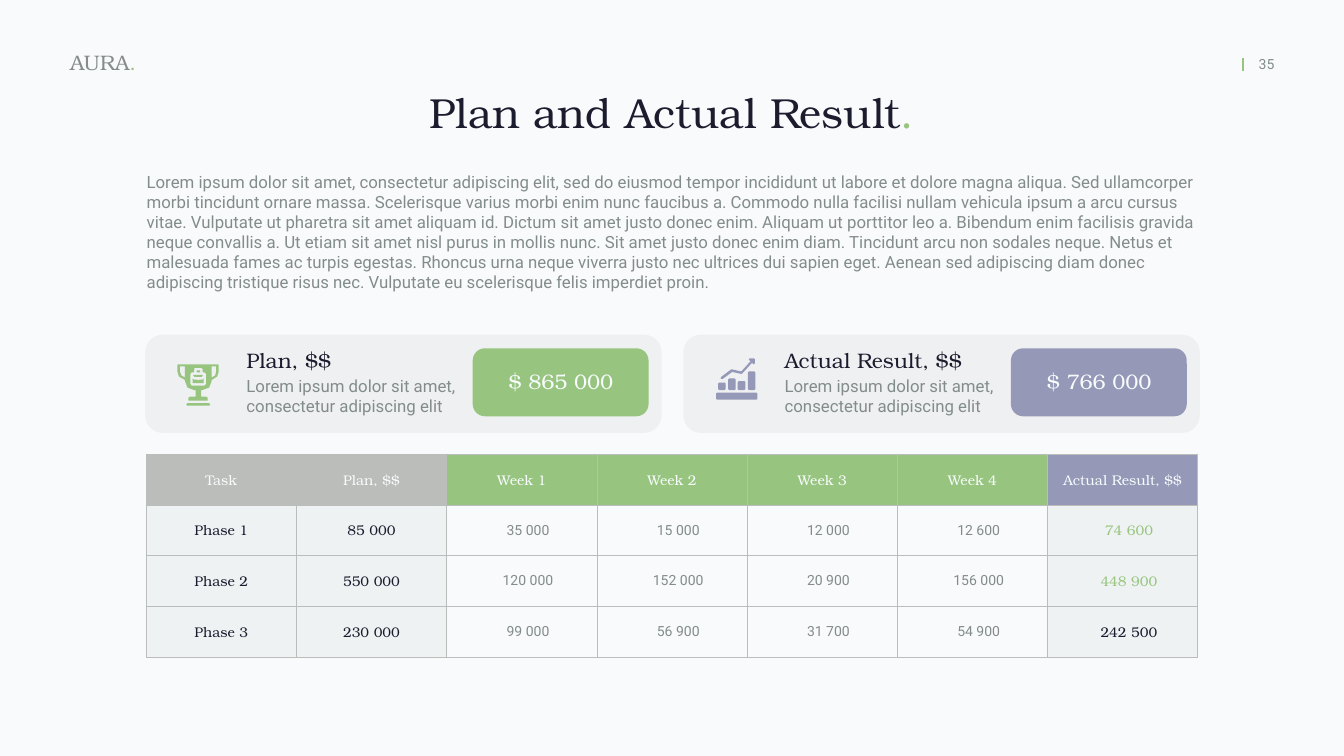
from lxml import etree
from pptx import Presentation, util as u
from pptx.dml.color import RGBColor
from pptx.enum import shapes, text
from pptx.oxml import ns

SERIF, SANS = "TeX Gyre Bonum", "Roboto"
INK, GREY, WHITE = "1B1C2E", "838C8C", "F8FBFC"
GREEN, VIOLET, SILVER = "97C57F", "9598B7", "BABDBA"
BORDER, PALE, PAPER = "BBBDBB", "EEF2F3", "F9FAFB"
LEFT, CENTER = text.PP_ALIGN.LEFT, text.PP_ALIGN.CENTER
NO_BREAK_SPACE = chr(160)

BODY = (
    "Lorem ipsum dolor sit amet, consectetur adipiscing elit, sed do eiusmod tempor "
    "incididunt ut labore et dolore magna aliqua. Sed ullamcorper morbi tincidunt ornare "
    "massa. Scelerisque varius morbi enim nunc faucibus a. Commodo nulla facilisi nullam "
    "vehicula ipsum a arcu cursus vitae. Vulputate ut pharetra sit amet aliquam id. Dictum "
    "sit amet justo donec enim. Aliquam ut porttitor leo a. Bibendum enim facilisis gravida "
    "neque convallis a. Ut etiam sit amet nisl purus in mollis nunc. Sit amet justo donec "
    "enim diam. Tincidunt arcu non sodales neque. Netus et malesuada fames ac turpis "
    "egestas. Rhoncus urna neque viverra justo nec ultrices dui sapien eget. Aenean sed "
    "adipiscing diam donec adipiscing tristique risus nec. Vulputate eu scelerisque felis "
    "imperdiet proin."
)
CARD_NOTE = "Lorem ipsum dolor sit amet, consectetur adipiscing elit"

HEADINGS = ["Task", "Plan, $$", "Week 1", "Week 2", "Week 3", "Week 4", "Actual Result, $$"]
HEADING_FILLS = [SILVER] * 2 + [GREEN] * 4 + [VIOLET]
PHASES = [
    ("Phase 1", [85000, 35000, 15000, 12000, 12600, 74600], GREEN),
    ("Phase 2", [550000, 120000, 152000, 20900, 156000, 448900], GREEN),
    ("Phase 3", [230000, 99000, 56900, 31700, 54900, 242500], INK),
]


def colour(value):
    return RGBColor.from_string(value)


def box(left, top, right, bottom):
    return [(left, top + 2), (left + 2, top), (right - 2, top), (right, top + 2),
            (right, bottom - 2), (right - 2, bottom), (left + 2, bottom), (left, bottom - 2)]


TROPHY = [
    box(18, 77, 65, 82),
    [(0, 2), (1, 0), (81, 0), (82, 2), (82, 14), (79, 24), (68, 31), (68, 33), (63, 46),
     (49, 51), (47, 51), (47, 64), (57, 64), (60, 66), (60, 72), (22, 72), (22, 66),
     (25, 64), (36, 64), (36, 51), (33, 51), (20, 46), (15, 33), (15, 31), (3, 24), (0, 14)],
    [(5, 4), (5, 14), (8, 22), (15, 26), (15, 4)],
    [(68, 4), (68, 26), (75, 22), (77, 14), (77, 4)],
    [(35, 7), (47, 7), (50, 9), (50, 16), (54, 16), (57, 19), (57, 39), (54, 42), (28, 42),
     (26, 39), (26, 19), (28, 16), (33, 16), (33, 9)],
    [(38, 12), (45, 12), (45, 16), (38, 16)],
    [(31, 21), (51, 21), (48, 25), (34, 25)],
    [(30, 28), (33, 30), (39, 30), (41, 32), (44, 30), (50, 30), (52, 28), (52, 37), (30, 37)],
]
GROWTH = [
    box(0, 68, 82, 82),
    *[box(left, top, left + 15, 63) for left, top in [(4, 48), (24, 40), (43, 45), (63, 26)]],
    [(67, 0), (75, 0), (77, 2), (77, 10), (75, 12), (72, 10), (72, 8), (52, 30), (50, 31),
     (32, 27), (13, 41), (11, 41), (9, 40), (10, 37), (30, 22), (32, 22), (50, 26), (69, 5),
     (67, 5), (65, 2)],
]


class SlideBuilder:
    def __init__(self, presentation):
        self.slide = presentation.slides.add_slide(presentation.slide_layouts[1])
        fill = self.slide.background.fill
        fill.solid()
        fill.fore_color.rgb = colour(PAPER)

    def add_runs(self, paragraph, runs, size, font=SERIF, align=LEFT):
        paragraph.alignment = align
        for words, ink in runs:
            run = paragraph.add_run()
            run.text = words
            for name, value in {"name": font, "size": u.Pt(size), "bold": False}.items():
                setattr(run.font, name, value)
            run.font.color.rgb = colour(ink)

    def fill_text(self, shape, at, runs, size, font=SERIF, align=LEFT,
                  anchor=text.MSO_ANCHOR.TOP, inset=0.06):
        for name, value in zip(("left", "top", "width", "height"), at):
            setattr(shape, name, u.Inches(value))
        frame = shape.text_frame
        margins = {f"margin_{side}": u.Inches(inset) for side in ("left", "right", "top", "bottom")}
        layout = {"word_wrap": True, "auto_size": text.MSO_AUTO_SIZE.NONE,
                  "vertical_anchor": anchor, **margins}
        for name, value in layout.items():
            setattr(frame, name, value)
        self.add_runs(frame.paragraphs[0], runs, size, font, align)

    def label(self, at, runs, size, font=SERIF, **options):
        shape = self.slide.shapes.add_textbox(0, 0, 0, 0)
        self.fill_text(shape, at, runs, size, font, **options)

    def title(self, at, runs):
        self.fill_text(self.slide.shapes.title, at, runs, 60, align=CENTER)

    def body(self, at, words):
        shape = self.slide.placeholders[1]
        paragraph = shape.text_frame.paragraphs[0]
        paragraph.space_before = u.Pt(0)
        properties = paragraph._p.get_or_add_pPr()
        properties.set("marL", "0")
        properties.set("indent", "0")
        etree.SubElement(properties, ns.qn("a:buNone"))
        self.fill_text(shape, at, [(words, GREY)], 24, SANS)

    def paint(self, shape, fill):
        shape.shadow.inherit = False
        shape.fill.solid()
        shape.fill.fore_color.rgb = colour(fill)
        shape.line.fill.background()

    def panel(self, at, fill, opacity=100):
        shape = self.slide.shapes.add_shape(
            shapes.MSO_SHAPE.ROUNDED_RECTANGLE, *map(u.Inches, at))
        shape.adjustments[0] = 0.18
        self.paint(shape, fill)
        if opacity < 100:
            tint = shape._element.spPr.find(".//" + ns.qn("a:srgbClr"))
            etree.SubElement(tint, ns.qn("a:alpha"), val=str(opacity * 1000))

    def icon(self, left, top, outlines, fill):
        builder = self.slide.shapes.build_freeform(*outlines[0][0], scale=u.Inches(0.01))
        for index, outline in enumerate(outlines):
            if index:
                builder.move_to(*outline[0])
            builder.add_line_segments(outline[1:], close=True)
        self.paint(builder.convert_to_shape(u.Inches(left), u.Inches(top)), fill)

    def line(self, start, end, ink, width):
        connector = self.slide.shapes.add_connector(
            shapes.MSO_CONNECTOR.STRAIGHT, *map(u.Inches, start + end))
        connector.line.color.rgb = colour(ink)
        connector.line.width = u.Pt(width)
        etree.SubElement(connector._element.spPr, ns.qn("a:effectLst"))

    def card(self, left, heading, heading_width, amount, fill, outlines, icon_at):
        self.panel((left, 6.64, 10.25, 1.95), BORDER, opacity=15)
        self.icon(left + icon_at[0], icon_at[1], outlines, fill)
        self.label((left + 1.95, 7.4, 4.98, 0.92), [(CARD_NOTE, GREY)], 24, SANS)
        self.label((left + 1.95, 6.84, heading_width, 0.62), [(heading, INK)], 30)
        self.panel((left + 6.5, 6.91, 3.49, 1.35), fill)
        self.label((left + 6.88, 7.26, 2.74, 0.62), [(amount, WHITE)], 30, align=CENTER)

    def cell(self, cell, words, fill, ink, font=SERIF, indent=0):
        properties = cell._tc.get_or_add_tcPr()
        for side in "LRTB":
            border = etree.SubElement(properties, ns.qn(f"a:ln{side}"), w=str(u.Pt(1)))
            solid = etree.SubElement(border, ns.qn("a:solidFill"))
            etree.SubElement(solid, ns.qn("a:srgbClr"), val=BORDER)
        cell.fill.solid()
        cell.fill.fore_color.rgb = colour(fill)
        cell.vertical_anchor = text.MSO_ANCHOR.MIDDLE
        for side in ("left", "right", "top", "bottom"):
            setattr(cell, f"margin_{side}", 0)
        paragraph = cell.text_frame.paragraphs[0]
        paragraph._p.get_or_add_pPr().set("indent", str(u.Inches(indent)))
        self.add_runs(paragraph, [(words, ink)], 20, font, CENTER)

    def table(self, at):
        table = self.slide.shapes.add_table(
            len(PHASES) + 1, len(HEADINGS), *map(u.Inches, at)).table
        for column, (heading, fill) in enumerate(zip(HEADINGS, HEADING_FILLS)):
            self.cell(table.cell(0, column), heading, fill, WHITE)
        last = len(HEADINGS) - 1
        for row, (phase, amounts, result_ink) in enumerate(PHASES, 1):
            self.cell(table.cell(row, 0), phase, PALE, INK)
            for column, amount in enumerate(amounts, 1):
                words = f"{amount:,}".replace(",", NO_BREAK_SPACE)
                if 1 < column < last:
                    style = (PAPER, GREY, SANS)
                else:
                    style = (PALE, result_ink if column == last else INK, SERIF)
                self.cell(table.cell(row, column), words, *style, indent=0.25 if column > 1 else 0)


def main():
    presentation = Presentation()
    presentation.slide_width, presentation.slide_height = u.Inches(26.67), u.Inches(15)
    builder = SlideBuilder(presentation)
    builder.line((24.67, 1.4), (24.67, 1.15), GREEN, 3)
    builder.label((24.5, 1.05, 1.27, 0.44), [("35", GREY)], 20, SANS, align=CENTER, inset=0.05)
    builder.label((1.33, 0.9, 1.84, 0.65), [("AURA", "868C8C"), (".", "A1C587")], 30,
                  anchor=text.MSO_ANCHOR.MIDDLE)
    builder.table((2.9, 9.01, 20.87, 4.03))
    builder.title((7.99, 1.66, 10.68, 1.12), [("Plan and Actual Result", INK), (".", GREEN)])
    builder.body((2.85, 3.34, 20.99, 2.54), BODY)
    builder.card(2.88, "Plan, $$", 2.74, "$ 865 000", GREEN, TROPHY, (0.64, 7.23))
    builder.card(13.56, "Actual Result, $$", 3.81, "$ 766 000", VIOLET, GROWTH, (0.65, 7.11))
    presentation.save("out.pptx")


if __name__ == "__main__":
    main()
